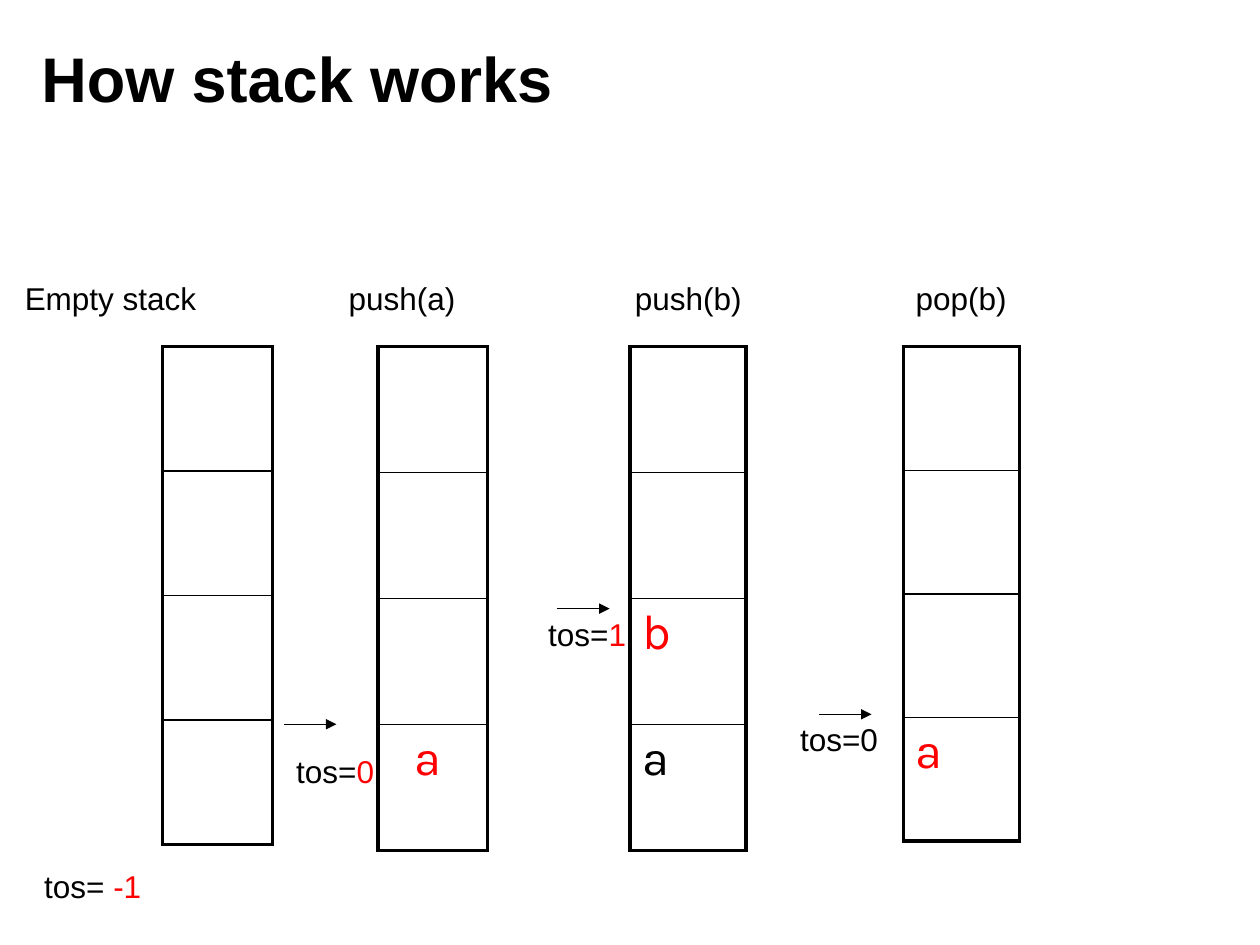
"""Build the slide that shows how push and pop change a stack."""
import dataclasses

import pptx
import pptx.dml.color
import pptx.enum.shapes
import pptx.enum.text
import pptx.oxml
import pptx.oxml.ns
import pptx.util

Cm = pptx.util.Cm
Pt = pptx.util.Pt


@dataclasses.dataclass(frozen=True)
class Theme:
    ink: str = "000000"
    accent: str = "FF0000"
    font: str = "Arial"
    cell_font: str = "Karla"
    title: float = 36
    label: float = 18
    item: float = 28
    thin: float = 0.75
    inner: float = 1
    outer: float = 2.25


def write(tf, text, size, font, color, bold=False, tail="", tail_color=None, before=None):
    p = tf.paragraphs[0]
    p.alignment = pptx.enum.text.PP_ALIGN.LEFT
    if before is not None:
        p.space_before = Pt(before)
    for part, rgb in ((text, color), (tail, tail_color)):
        if part:
            r = p.add_run()
            r.text = part
            r.font.size = Pt(size)
            r.font.name = font
            r.font.bold = bold
            r.font.color.rgb = pptx.dml.color.RGBColor.from_string(rgb)


@dataclasses.dataclass
class Deck:
    theme: Theme
    s: object

    def title(self, text, x, y, w, h):
        sp = self.s.shapes.title
        sp.left, sp.top, sp.width, sp.height = Cm(x), Cm(y), Cm(w), Cm(h)
        tf = sp.text_frame
        tf.vertical_anchor = pptx.enum.text.MSO_ANCHOR.MIDDLE
        t = self.theme
        write(tf, text, t.title, t.font, t.ink, bold=True)

    def label(self, text, x, y, w, value="", wrap=True):
        sp = self.s.shapes.add_textbox(Cm(x), Cm(y), Cm(w), Cm(1.02))
        tf = sp.text_frame
        tf.word_wrap = wrap
        tf.auto_size = pptx.enum.text.MSO_AUTO_SIZE.SHAPE_TO_FIT_TEXT
        t = self.theme
        write(tf, text, t.label, t.font, t.ink, tail=value, tail_color=t.accent)

    def arrow(self, x, y, length=1.06):
        kind = pptx.enum.shapes.MSO_CONNECTOR.STRAIGHT
        sp = self.s.shapes.add_connector(kind, Cm(x), Cm(y), Cm(x + length), Cm(y))
        sp.line.width = Pt(self.theme.thin)
        sp.line.color.rgb = pptx.dml.color.RGBColor.from_string(self.theme.ink)
        ns = pptx.oxml.ns.nsdecls("a")
        spPr = sp.element.spPr
        ln = spPr.find(pptx.oxml.ns.qn("a:ln"))
        ln.append(pptx.oxml.parse_xml(f'<a:tailEnd {ns} type="triangle"/>'))
        spPr.append(pptx.oxml.parse_xml(f"<a:effectLst {ns}/>"))

    def borders(self, cell, first, last):
        t = self.theme
        widths = {"L": t.outer, "R": t.outer,
                  "T": t.outer if first else t.inner,
                  "B": t.outer if last else t.inner}
        tcPr = cell._tc.get_or_add_tcPr()
        for side, width in widths.items():
            tcPr.append(pptx.oxml.parse_xml(
                f'<a:ln{side} {pptx.oxml.ns.nsdecls("a")} w="{Pt(width)}">'
                f'<a:solidFill><a:srgbClr val="{t.ink}"/></a:solidFill></a:ln{side}>'))

    def stack(self, x, y, w, row_h, items, indent=0.25, rows=4):
        sp = self.s.shapes.add_table(rows, 1, Cm(x), Cm(y), Cm(w), Cm(row_h * rows))
        table = sp.table
        table.first_row = table.horz_banding = False
        t = self.theme
        for i in range(rows):
            table.rows[i].height = Cm(row_h)
            cell = table.cell(i, 0)
            cell.margin_left = Cm(indent)
            self.borders(cell, i == 0, i == rows - 1)
            cell.fill.background()
            if i in items:
                text, color = items[i]
                write(cell.text_frame, text, t.item, t.cell_font, color, before=t.item * 0.2)


def main():
    prs = pptx.Presentation()
    prs.slide_width, prs.slide_height = Cm(25.4), Cm(19.05)
    theme = Theme()
    deck = Deck(theme, prs.slides.add_slide(prs.slide_layouts[5]))
    deck.title("How stack works", 0.58, 0.38, 20.4, 2.36)

    red, black = theme.accent, theme.ink
    stacks = [
        ("Empty stack", 0.25, 3.28, 2.21, 2.51, {}, 0.25),
        ("push(a)", 6.78, 7.62, 2.21, 2.54, {3: ("a", red)}, 0.74),
        ("push(b)", 12.55, 12.7, 2.34, 2.54, {2: ("b", red), 3: ("a", black)}, 0.25),
        ("pop(b)", 18.21, 18.21, 2.34, 2.49, {3: ("a", red)}, 0.25),
    ]
    for name, label_x, x, w, row_h, items, indent in stacks:
        deck.label(name, label_x, 5.51, 3.96)
        deck.stack(x, 6.99, w, row_h, items, indent)

    pointers = [
        ("tos= ", "-1", 0.64, 17.35, 2.46),
        ("tos=", "0", 5.72, 15.04, 2.08),
        ("tos=", "1", 10.8, 12.27, 2.08),
        ("tos=0", "", 15.88, 14.4, 2.08),
    ]
    for text, value, x, y, w in pointers:
        deck.label(text, x, y, w, value, wrap=False)
    for x, y in ((5.72, 14.6), (11.23, 12.27), (16.51, 14.4)):
        deck.arrow(x, y)

    prs.save("out.pptx")


if __name__ == "__main__":
    main()
